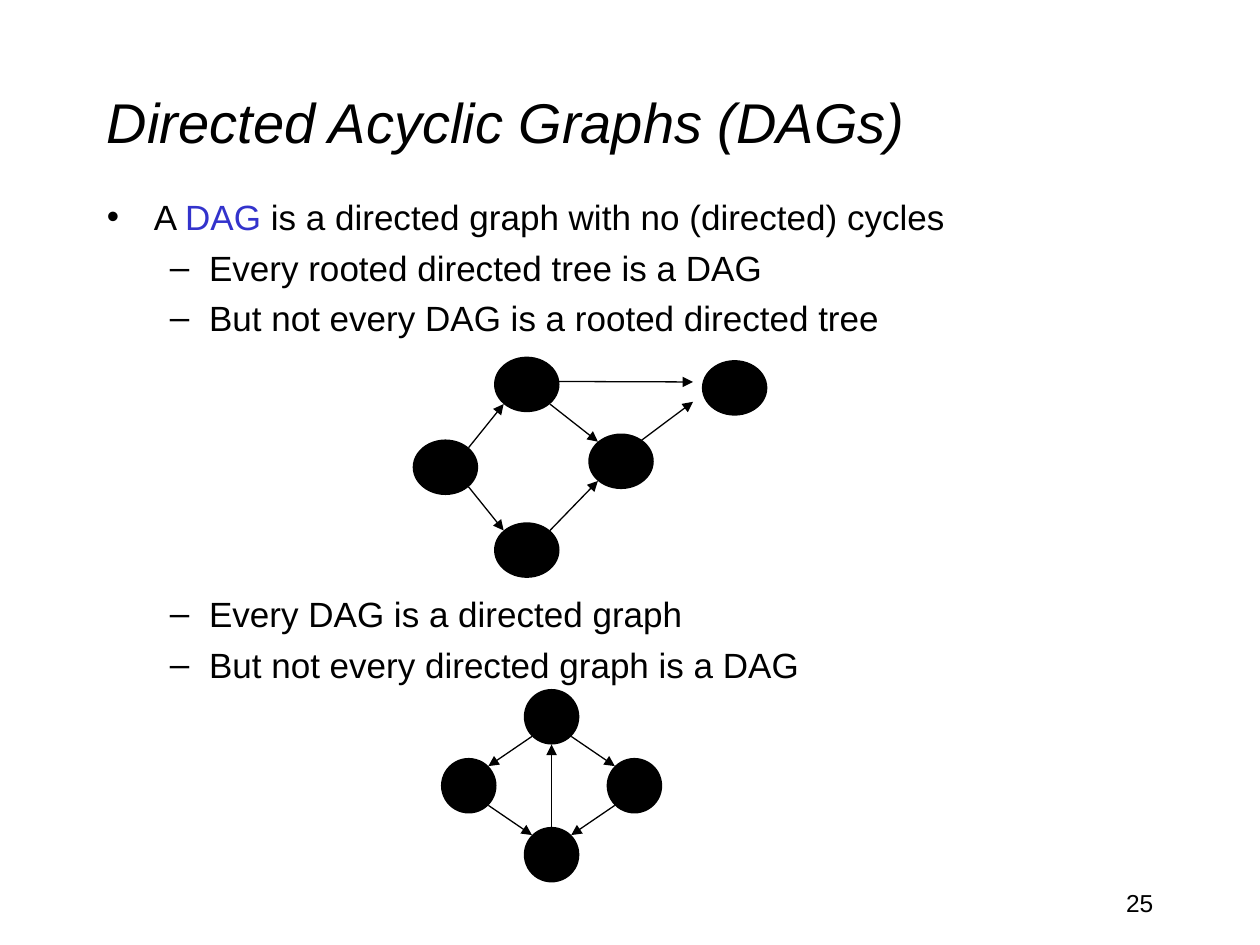
from dataclasses import dataclass
from math import copysign, sqrt

from lxml.etree import SubElement
from pptx import Presentation
from pptx.dml.color import RGBColor
from pptx.enum.shapes import MSO_CONNECTOR, MSO_SHAPE
from pptx.enum.text import MSO_ANCHOR, MSO_AUTO_SIZE, PP_ALIGN
from pptx.oxml.ns import qn
from pptx.util import Cm, Pt

BLACK = RGBColor(0, 0, 0)
BLUE = RGBColor(0x33, 0x33, 0xCC)
FONT = "Arial"


@dataclass
class Node:
    x: float  # centre, in cm
    y: float
    wide: float = 1.12
    high: float = 1.12


@dataclass
class Item:
    runs: list
    level: int = 1
    space: float = 5


def sign(n: float) -> float:
    return copysign(1, n) if n else 0


def rim(node: Node, goal: Node) -> tuple:
    """Point on the node's rim, in one of eight directions, facing the goal."""
    h, v = sign(goal.x - node.x), sign(goal.y - node.y)
    size = sqrt(h * h + v * v)
    return node.x + h / size * node.wide / 2, node.y + v / size * node.high / 2


def draw_node(group, node: Node) -> None:
    oval = group.shapes.add_shape(
        MSO_SHAPE.OVAL, Cm(node.x - node.wide / 2), Cm(node.y - node.high / 2),
        Cm(node.wide), Cm(node.high))
    oval.shadow.inherit = False
    oval.fill.solid()
    oval.fill.fore_color.rgb = BLACK
    oval.line.fill.background()


def draw_arrow(group, start: tuple, end: tuple) -> None:
    line = group.shapes.add_connector(
        MSO_CONNECTOR.STRAIGHT, *(Cm(n) for n in start + end))
    line.line.color.rgb = BLACK
    line.line.width = Pt(0.75)
    props = line._element.spPr
    SubElement(props.find(qn("a:ln")), qn("a:tailEnd"), type="triangle")
    SubElement(props, qn("a:effectLst"))


def draw_graph(slide, nodes: dict, edges: str, loose: tuple = ()) -> None:
    group = slide.shapes.add_group_shape()
    for node in nodes.values():
        draw_node(group, node)
    for a, b in edges.split():
        draw_arrow(group, rim(nodes[a], nodes[b]), rim(nodes[b], nodes[a]))
    for start, end in loose:
        draw_arrow(group, start, end)


def set_font(font, size: float) -> None:
    font.name = FONT
    font.size = Pt(size)
    font.color.rgb = BLACK


def place(shape, left: float, top: float, wide: float, high: float) -> None:
    shape.left, shape.top = Cm(left), Cm(top)
    shape.width, shape.height = Cm(wide), Cm(high)


def fill_list(frame, items: list) -> None:
    for i, item in enumerate(items):
        para = frame.add_paragraph() if i else frame.paragraphs[0]
        para.level = item.level
        para.space_before = Pt(item.space)
        set_font(para.font, 20)
        left, hang = ((0.95, 0.95), (2.06, 0.79))[item.level]
        props = para._p.get_or_add_pPr()
        props.set("marL", str(Cm(left)))
        props.set("indent", str(-Cm(hang)))
        for text, color in item.runs:
            run = para.add_run()
            run.text = text
            if color:
                run.font.color.rgb = color


def main() -> None:
    deck = Presentation()
    deck.slide_width, deck.slide_height = Cm(25.4), Cm(19.05)
    slide = deck.slides.add_slide(deck.slide_layouts[1])

    # Title
    title = slide.shapes.title
    place(title, 1.9, 0.85, 21.6, 3.17)
    title.text_frame.text = "Directed Acyclic Graphs (DAGs)"
    title.text_frame.auto_size = MSO_AUTO_SIZE.NONE
    title.text_frame.vertical_anchor = MSO_ANCHOR.MIDDLE
    head = title.text_frame.paragraphs[0]
    head.alignment = PP_ALIGN.LEFT
    set_font(head.font, 32)
    head.font.italic = True

    # List, with room for the first graph
    body = slide.placeholders[1]
    place(body, 1.9, 3.81, 21.6, 12.5)
    body.text_frame.auto_size = MSO_AUTO_SIZE.NONE
    fill_list(body.text_frame, [
        Item([("A ", None), ("DAG", BLUE),
              (" is a directed graph with no (directed) cycles", None)], 0),
        Item([("Every rooted directed tree is a DAG", None)]),
        Item([("But not every DAG is a rooted directed tree", None)]),
        Item([("Every DAG is a directed graph", None)], space=145),
        Item([("But not every directed graph is a DAG", None)]),
    ])

    # Page number
    page = slide.shapes.add_textbox(Cm(18.2), Cm(17.78), Cm(5.3), Cm(1.27))
    page.text_frame.word_wrap = True
    page.text_frame.text = "25"
    mark = page.text_frame.paragraphs[0]
    mark.alignment = PP_ALIGN.RIGHT
    set_font(mark.font, 14)

    # Acyclic graph; two arrows stop short of the far node
    spots = {"L": (8.98, 9.42), "M": (12.52, 9.3), "T": (10.62, 7.75),
             "B": (10.62, 11.09), "R": (14.81, 7.82)}
    draw_graph(slide, {k: Node(*at, wide=1.32) for k, at in spots.items()},
               "LB LT TM BM",
               (((11.23, 7.69), (13.97, 7.7)), ((12.9, 8.9), (13.97, 8.1))))

    # Cyclic graph: a diamond around one centre
    x, y, dx, dy = 11.12, 15.84, 1.67, 1.39
    draw_graph(slide, {"T": Node(x, y - dy), "B": Node(x, y + dy),
                       "R": Node(x + dx, y), "L": Node(x - dx, y)},
               "TL TR RB LB BT")

    deck.save("out.pptx")


if __name__ == "__main__":
    main()
